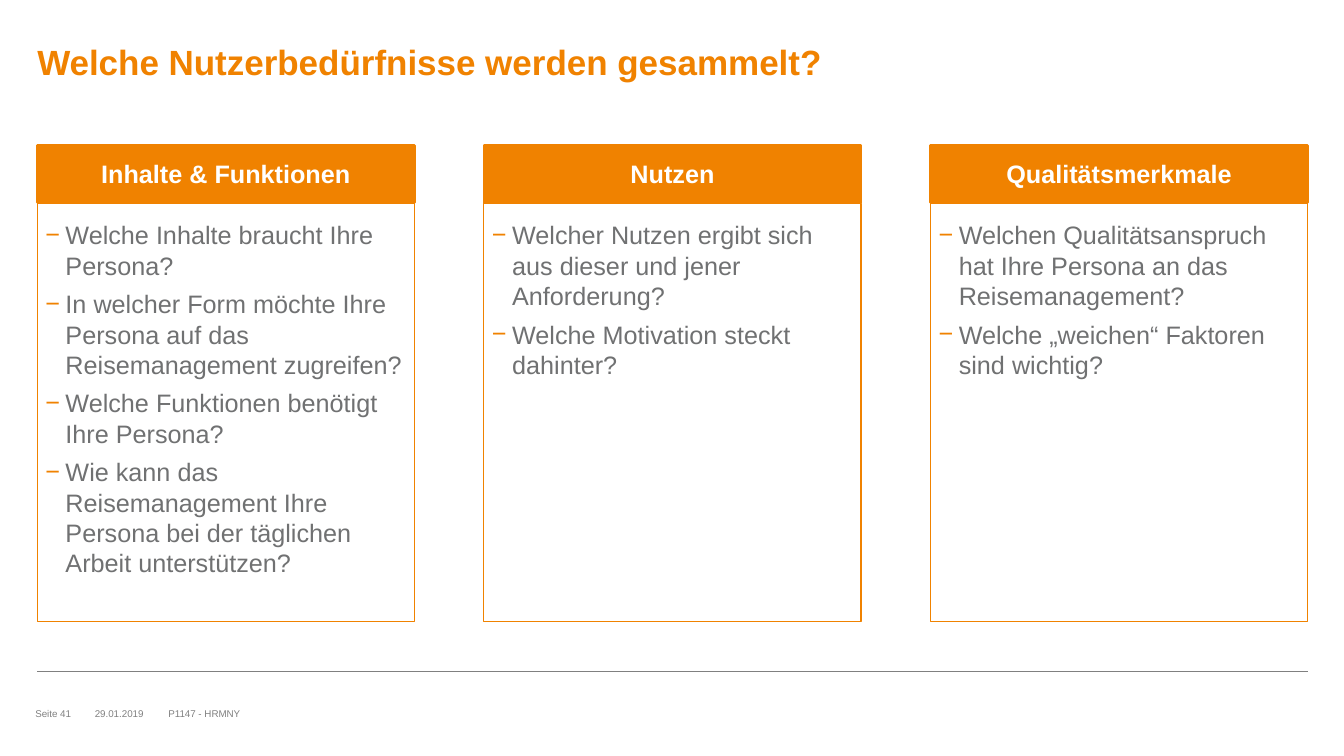
from lxml import etree
from pptx import Presentation
from pptx.dml.color import RGBColor
from pptx.enum.shapes import MSO_CONNECTOR, MSO_SHAPE
from pptx.enum.text import MSO_ANCHOR, PP_ALIGN
from pptx.oxml.ns import qn
from pptx.util import Emu, Pt

TITLE = "Welche Nutzerbedürfnisse werden gesammelt?"
COLUMNS = [
    ("Inhalte & Funktionen", [
        "Welche Inhalte braucht Ihre Persona?",
        "In welcher Form möchte Ihre Persona auf das Reisemanagement zugreifen?",
        "Welche Funktionen benötigt Ihre Persona?",
        "Wie kann das Reisemanagement Ihre Persona bei der täglichen Arbeit unterstützen?",
    ]),
    ("Nutzen", [
        "Welcher Nutzen ergibt sich aus dieser und jener Anforderung?",
        "Welche Motivation steckt dahinter?",
    ]),
    ("Qualitätsmerkmale", [
        "Welchen Qualitätsanspruch hat Ihre Persona an das Reisemanagement?",
        "Welche „weichen“ Faktoren sind wichtig?",
    ]),
]
# text, left, width
FOOTER = [("Seite 41", 35, 55), ("29.01.2019", 94, 60), ("P1147 - HRMNY", 167, 810)]

COLORS = {"orange": "F08200", "text": "707172", "footer": "808080", "white": "FFFFFF"}
FONT = "Arial"
RECTANGLE = MSO_SHAPE.RECTANGLE
STRAIGHT = MSO_CONNECTOR.STRAIGHT
TOP, MIDDLE = MSO_ANCHOR.TOP, MSO_ANCHOR.MIDDLE
LEFT, CENTER = PP_ALIGN.LEFT, PP_ALIGN.CENTER

EMU_PER_PX = 9144  # 100 px to the inch
SLIDE_WIDTH, SLIDE_HEIGHT = 1333, 750
MARGIN, CONTENT_WIDTH = 37, 1260
COLUMN_WIDTH = 374
COLUMN_STEP = (CONTENT_WIDTH - COLUMN_WIDTH) // (len(COLUMNS) - 1)
HEADER_TOP, HEADER_HEIGHT = 144, 57
BODY_TOP, BODY_HEIGHT = 202, 415
PADDING, BODY_PADDING_TOP, BULLET_INDENT = 8, 16, 20
RULE_TOP, FOOTER_TOP, FOOTER_HEIGHT = 666, 700, 16


def px(length):
    return Emu(length * EMU_PER_PX)


def color(name):
    return RGBColor.from_string(COLORS[name])


def prepare_frame(shape, anchor, padding=0, padding_top=0):
    frame = shape.text_frame
    frame.word_wrap = True
    frame.vertical_anchor = anchor
    frame.margin_left = frame.margin_right = frame.margin_bottom = px(padding)
    frame.margin_top = px(padding_top)
    return frame


def add_run(paragraph, text, size, color_name, bold=False, alignment=LEFT):
    paragraph.alignment = alignment
    run = paragraph.add_run()
    run.text = text
    run.font.name = FONT
    run.font.size = Pt(size)
    run.font.bold = bold
    run.font.color.rgb = color(color_name)


def add_text(slide, text, box, size, color_name, anchor=TOP, bold=False):
    shape = slide.shapes.add_textbox(*map(px, box))
    frame = prepare_frame(shape, anchor)
    add_run(frame.paragraphs[0], text, size, color_name, bold)


def add_rectangle(slide, box, fill_name, line_width):
    shape = slide.shapes.add_shape(RECTANGLE, *map(px, box))
    shape.shadow.inherit = False
    shape.fill.solid()
    shape.fill.fore_color.rgb = color(fill_name)
    shape.line.color.rgb = color("orange")
    shape.line.width = Pt(line_width)
    return shape


def add_bullet(paragraph):
    properties = paragraph._p.get_or_add_pPr()
    properties.set("marL", str(px(BULLET_INDENT)))
    properties.set("indent", str(-px(BULLET_INDENT)))
    bullet_color = etree.SubElement(properties, qn("a:buClr"))
    etree.SubElement(bullet_color, qn("a:srgbClr"), val=COLORS["orange"])
    etree.SubElement(properties, qn("a:buFont"), typeface=FONT)
    etree.SubElement(properties, qn("a:buChar"), char="−")


def add_column(slide, left, heading, questions):
    body = add_rectangle(slide, (left, BODY_TOP, COLUMN_WIDTH, BODY_HEIGHT), "white", 0.75)
    frame = prepare_frame(body, TOP, PADDING, BODY_PADDING_TOP)
    for index, question in enumerate(questions):
        paragraph = frame.add_paragraph() if index else frame.paragraphs[0]
        add_bullet(paragraph)
        if index:
            paragraph.space_before = Pt(6)
        add_run(paragraph, question, 18, "text")

    header = add_rectangle(slide, (left, HEADER_TOP, COLUMN_WIDTH, HEADER_HEIGHT), "orange", 2)
    frame = prepare_frame(header, MIDDLE, PADDING, PADDING)
    add_run(frame.paragraphs[0], heading, 18, "white", True, CENTER)


def add_footer_rule(slide):
    rule = slide.shapes.add_connector(
        STRAIGHT, px(MARGIN), px(RULE_TOP), px(MARGIN + CONTENT_WIDTH), px(RULE_TOP))
    rule.line.color.rgb = color("footer")
    rule.line.width = Pt(0.5)
    etree.SubElement(rule._element.spPr, qn("a:effectLst"))


def main():
    presentation = Presentation()
    presentation.slide_width = px(SLIDE_WIDTH)
    presentation.slide_height = px(SLIDE_HEIGHT)
    slide = presentation.slides.add_slide(presentation.slide_layouts[6])

    add_footer_rule(slide)
    add_text(slide, TITLE, (MARGIN, 40, CONTENT_WIDTH, 102), 25, "orange", bold=True)
    for text, left, width in FOOTER:
        add_text(slide, text, (left, FOOTER_TOP, width, FOOTER_HEIGHT), 7, "footer", MIDDLE)
    for index, (heading, questions) in enumerate(COLUMNS):
        add_column(slide, MARGIN + index * COLUMN_STEP, heading, questions)

    presentation.save("out.pptx")


if __name__ == "__main__":
    main()
